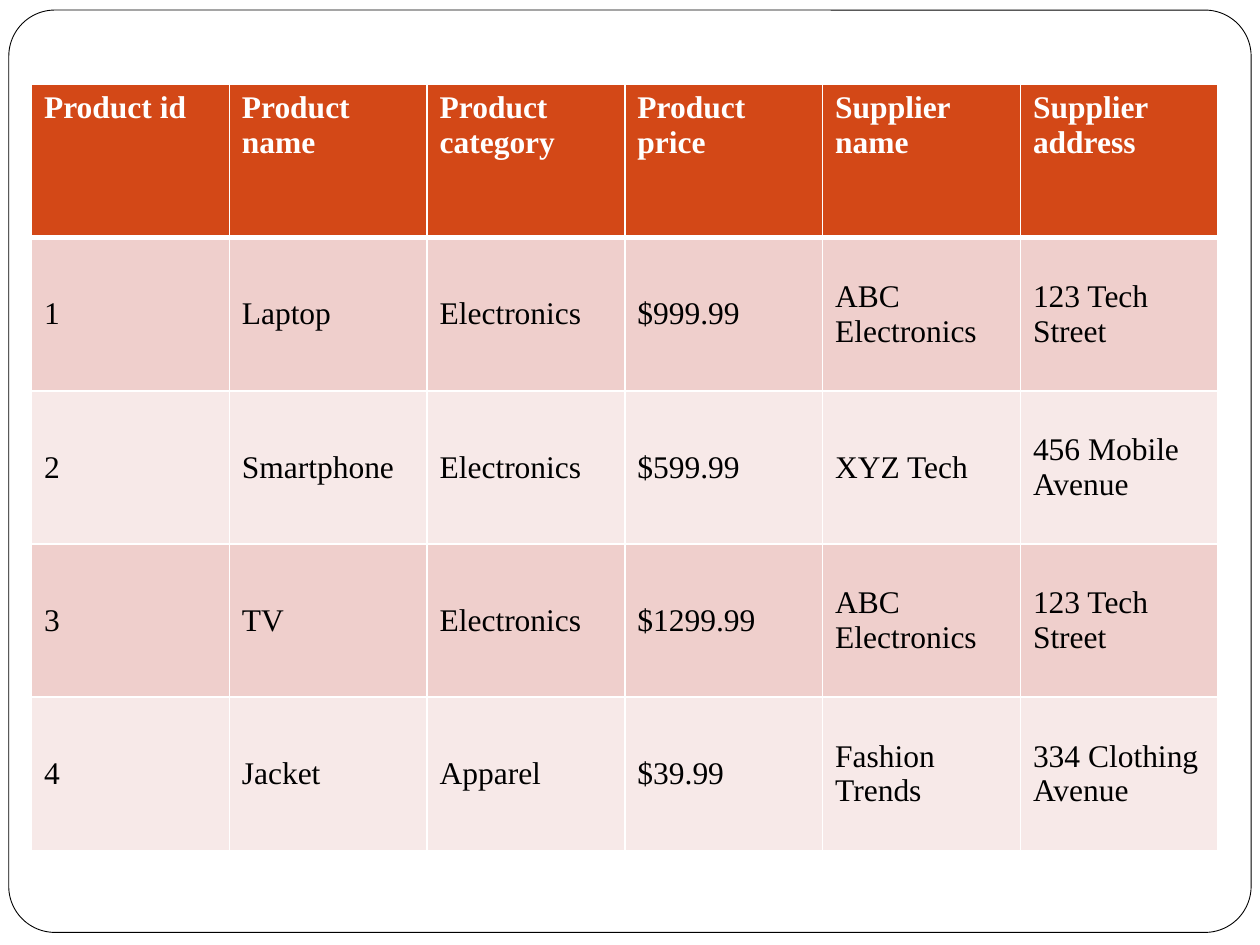
from lxml.etree import SubElement
from pptx import Presentation
from pptx.dml.color import RGBColor
from pptx.enum.shapes import MSO_SHAPE as Shape
from pptx.enum.text import MSO_ANCHOR as Anchor
from pptx.oxml.ns import qn
from pptx.util import Inches, Pt

FONT = "Times New Roman"
WHITE, BLACK, ORANGE = "FFFFFF", "000000", "D34817"
BANDS = ["EFCFCC", "F7E9E8"]

PRODUCTS = [
    ["Product id", "Product name", "Product category", "Product price",
     "Supplier name", "Supplier address"],
    ["1", "Laptop", "Electronics", "$999.99", "ABC Electronics", "123 Tech Street"],
    ["2", "Smartphone", "Electronics", "$599.99", "XYZ Tech", "456 Mobile Avenue"],
    ["3", "TV", "Electronics", "$1299.99", "ABC Electronics", "123 Tech Street"],
    ["4", "Jacket", "Apparel", "$39.99", "Fashion Trends", "334 Clothing\nAvenue"],
]


def paint(fill, color):
    fill.solid()
    fill.fore_color.rgb = RGBColor.from_string(color)


def write(tf, text, size=18, color=BLACK, bold=False):
    tf.text = text
    for p in tf.paragraphs:
        for r in p.runs:
            r.font.name, r.font.size, r.font.bold = FONT, Pt(size), bold
            paint(r.font.fill, color)


def set_borders(cell, **widths):
    """Draw white cell borders; widths in points are keyed by side L, R, T, B."""
    tc_pr = cell._tc.get_or_add_tcPr()
    for side, width in widths.items():
        ln = SubElement(tc_pr, qn(f"a:ln{side}"), w=str(Pt(width)))
        fill = SubElement(ln, qn("a:solidFill"))
        SubElement(fill, qn("a:srgbClr"), val=WHITE)


def add_frame(s, left, top, width, height):
    sp = s.shapes.add_shape(Shape.ROUNDED_RECTANGLE, left, top, width, height)
    sp.adjustments[0] = 0.05
    sp.shadow.inherit = False
    paint(sp.fill, WHITE)
    paint(sp.line.fill, BLACK)
    sp.line.width = Pt(0.5)


def add_product_table(s, rows, left, top, col_width, row_height):
    n_rows, n_cols = len(rows), len(rows[0])
    table = s.shapes.add_table(n_rows, n_cols, left, top,
                               col_width * n_cols, row_height * n_rows).table
    for i, row in enumerate(rows):
        header = i == 0
        for j, text in enumerate(row):
            cell = table.cell(i, j)
            # The rule under the header is heavier, seen from both rows
            set_borders(cell, L=1, R=1, T=3 if i == 1 else 1, B=3 if header else 1)
            paint(cell.fill, ORANGE if header else BANDS[(i - 1) % 2])
            cell.vertical_anchor = Anchor.TOP if header else Anchor.MIDDLE
            write(cell.text_frame, text, color=WHITE if header else BLACK, bold=header)


def main():
    prs = Presentation()
    prs.slide_width, prs.slide_height = Inches(10), Inches(7.5)
    s = prs.slides.add_slide(prs.slide_layouts[6])

    # Rounded page frame
    add_frame(s, Inches(0.07), Inches(0.08), Inches(9.86), Inches(7.32))

    # Products and their suppliers
    add_product_table(s, PRODUCTS, Inches(0.25), Inches(0.67),
                      col_width=Inches(1.57), row_height=Inches(6.08 / len(PRODUCTS)))

    prs.save("out.pptx")


if __name__ == "__main__":
    main()
